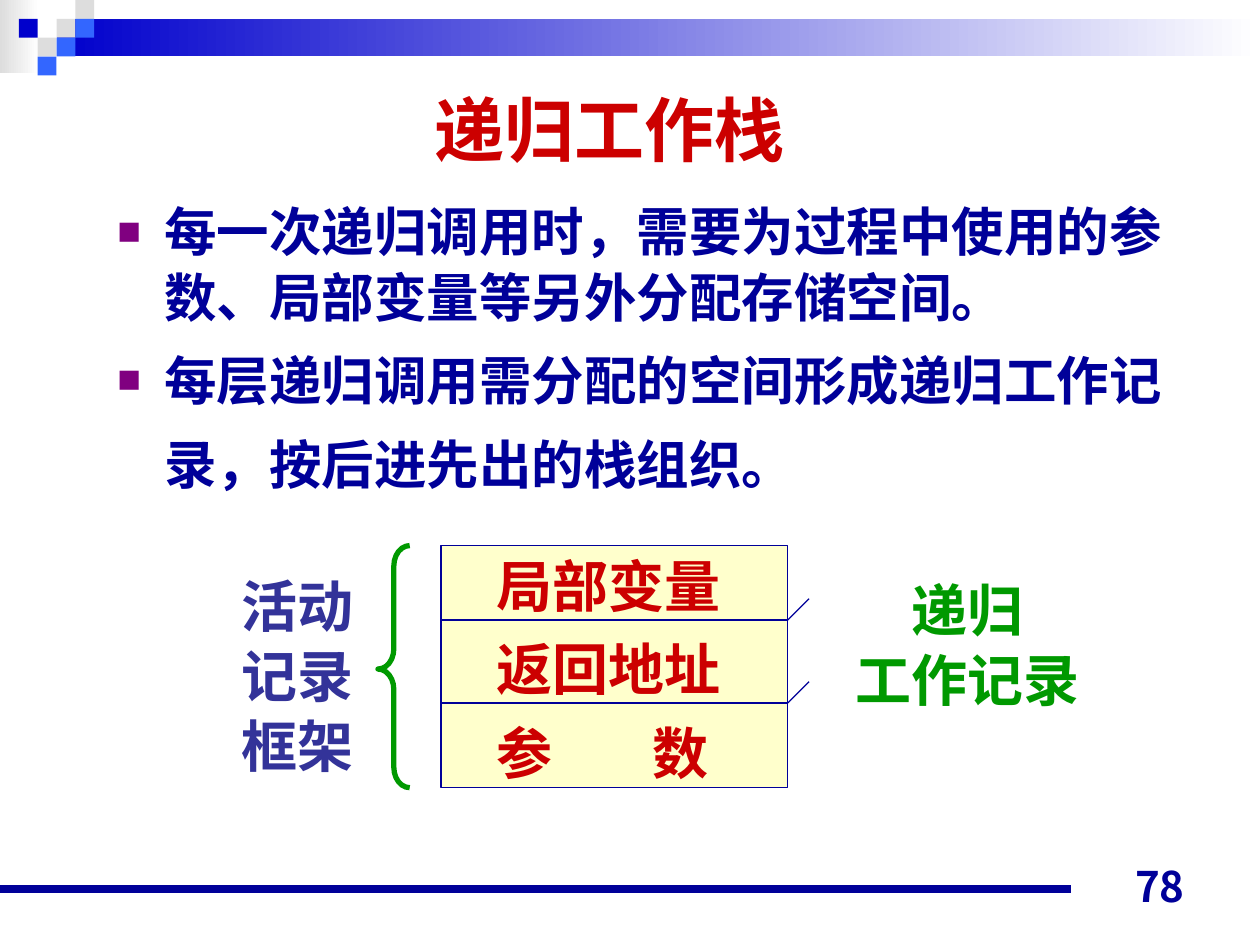
from dataclasses import dataclass

from lxml import etree
from pptx import Presentation
from pptx import util as u
from pptx.dml.color import RGBColor
from pptx.enum import shapes, text
from pptx.oxml import ns


@dataclass(frozen=True)
class Theme:
    navy: str = "000099"
    blue: str = "0000CC"
    sky: str = "3366FF"
    grey: str = "DDDDDD"
    white: str = "FFFFFF"
    red: str = "CC0000"
    green: str = "009900"
    indigo: str = "333399"
    purple: str = "800080"
    cream: str = "FFFFCC"
    sans: str = "Arial"
    serif: str = "Times New Roman"
    cjk: str = "Noto Sans CJK JP"
    title_size: int = 40
    body_size: int = 30
    label_size: int = 32
    number_size: int = 24
    leading: float = 1.04


@dataclass(frozen=True)
class Area:
    left: float
    top: float
    width: float
    height: float

    @property
    def right(self) -> float:
        return self.left + self.width

    def lengths(self) -> tuple:
        return tuple(u.Cm(v) for v in (self.left, self.top, self.width, self.height))


@dataclass(frozen=True)
class Tile:
    column: int
    row: int
    color: str


@dataclass(frozen=True)
class Label:
    area: Area
    lines: tuple
    color: str
    font: str = Theme.serif
    size: int = Theme.label_size
    align: text.PP_ALIGN = text.PP_ALIGN.LEFT
    anchor: text.MSO_ANCHOR = text.MSO_ANCHOR.TOP
    leading: float = Theme.leading
    before: float = 0
    wrap: bool = True
    tab: float = 0


THEME = Theme()
UNIT = 0.38
TILES = (
    Tile(3, 1, THEME.grey), Tile(4, 0, THEME.grey), Tile(4, 1, THEME.sky),
    Tile(2, 2, THEME.grey), Tile(1, 1, THEME.blue), Tile(3, 2, THEME.sky),
    Tile(2, 3, THEME.sky),
)
STACK = Area(8.89, 11, 6.99, 4.88)
DIVIDERS = (12.5, 14.17)
TICK = 0.43
BULLETS = (
    "每一次递归调用时，需要为过程中使用的参数、局部变量等另外分配存储空间。",
    "每层递归调用需分配的空间形成递归工作记录，按后进先出的栈组织。",
)
LABELS = (
    Label(Area(9.75, 10.8, 5.69, 6.5), ("局部变量", "返回地址", "参\t数"),
          THEME.red, leading=1.14, before=4, tab=3.16),
    Label(Area(4.62, 11.35, 3, 4.32), ("活动记录框架",), THEME.indigo),
    Label(Area(16.99, 11.43, 5.03, 2.97), ("递归", "工作记录"), THEME.green,
          align=text.PP_ALIGN.CENTER, wrap=False),
    Label(Area(18.21, 17.22, 5.92, 1.27), ("78",), THEME.navy, font=THEME.cjk,
          size=THEME.number_size, align=text.PP_ALIGN.RIGHT,
          anchor=text.MSO_ANCHOR.BOTTOM, leading=1),
)


def rgb(color: str) -> RGBColor:
    return RGBColor.from_string(color)


def add_node(parent, tag: str, **attributes):
    return etree.SubElement(parent, ns.qn(tag), attributes)


def write(para, content: str, *, color: str, size: int, font: str = THEME.sans) -> None:
    span = para.add_run()
    span.text = content
    span.font.name = font
    span.font.size = u.Pt(size)
    span.font.bold = True
    span.font.color.rgb = rgb(color)
    east_asian = THEME.cjk if font == THEME.cjk else THEME.sans
    add_node(span.font._element, "a:ea", typeface=east_asian)


def place(box, area: Area) -> None:
    box.left, box.top, box.width, box.height = area.lengths()


def draw_block(page, area: Area, *colors: str, outline: str = "") -> None:
    block = page.shapes.add_shape(shapes.MSO_SHAPE.RECTANGLE, *area.lengths())
    block.shadow.inherit = False
    if len(colors) == 1:
        block.fill.solid()
        block.fill.fore_color.rgb = rgb(colors[0])
    else:
        block.fill.gradient()
        block.fill.gradient_angle = 0
        for stop, color in zip(block.fill.gradient_stops, colors):
            stop.color.rgb = rgb(color)
    if outline:
        block.line.color.rgb = rgb(outline)
        block.line.width = u.Pt(0.75)
    else:
        block.line.fill.background()


def draw_line(page, start: tuple, end: tuple, width: float = 0.75) -> None:
    line = page.shapes.add_connector(
        shapes.MSO_CONNECTOR.STRAIGHT, *(u.Cm(v) for v in start + end))
    line.line.color.rgb = rgb(THEME.navy)
    line.line.width = u.Pt(width)
    add_node(line._element.spPr, "a:effectLst")


def draw_label(page, label: Label) -> None:
    box = page.shapes.add_textbox(*label.area.lengths())
    frame = box.text_frame
    frame.word_wrap = label.wrap
    frame.vertical_anchor = label.anchor
    for index, content in enumerate(label.lines):
        para = frame.add_paragraph() if index else frame.paragraphs[0]
        if label.tab:
            stops = add_node(para._p.get_or_add_pPr(), "a:tabLst")
            add_node(stops, "a:tab", pos=str(u.Cm(label.tab)), algn="l")
        para.alignment = label.align
        para.line_spacing = label.leading
        para.space_before = u.Pt(label.before if index else 0)
        write(para, content, color=label.color, size=label.size, font=label.font)


def draw_header(page) -> None:
    draw_block(page, Area(0, 0, 0.79, 1.47), THEME.grey, THEME.white)
    draw_block(page, Area(3 * UNIT, UNIT, 24.26, 2 * UNIT), THEME.blue, THEME.white)
    for tile in TILES:
        area = Area(tile.column * UNIT, tile.row * UNIT, UNIT, UNIT)
        draw_block(page, area, tile.color)


def fill_title(page) -> None:
    title = page.shapes.title
    place(title, Area(3.81, 1.47, 16.94, 2.24))
    title.text_frame.vertical_anchor = text.MSO_ANCHOR.MIDDLE
    para = title.text_frame.paragraphs[0]
    para.alignment = text.PP_ALIGN.CENTER
    write(para, "递归工作栈", color=THEME.red, size=THEME.title_size)


def fill_body(page) -> None:
    body = page.placeholders[1]
    place(body, Area(2.11, 3.84, 21.59, 14.4))
    frame = body.text_frame
    frame.auto_size = text.MSO_AUTO_SIZE.NONE
    for index, content in enumerate(BULLETS):
        para = frame.add_paragraph() if index else frame.paragraphs[0]
        props = para._p.get_or_add_pPr()
        indent = u.Cm(0.95)
        props.set("marL", str(indent))
        props.set("indent", str(-indent))
        add_node(add_node(props, "a:buClr"), "a:srgbClr", val=THEME.purple)
        add_node(props, "a:buSzPct", val="75000")
        add_node(props, "a:buFont", typeface=THEME.sans)
        add_node(props, "a:buChar", char="■")
        para.line_spacing = THEME.leading
        para.space_before = u.Pt(10 if index else 0)
        write(para, content, color=THEME.navy, size=THEME.body_size)
    write(para, " ", color=THEME.navy, size=THEME.title_size)


def draw_stack(page) -> None:
    draw_block(page, STACK, THEME.cream, outline=THEME.navy)
    for height in DIVIDERS:
        corner = (STACK.right, height)
        draw_line(page, (STACK.left, height), corner)
        draw_line(page, corner, (STACK.right + TICK, height - TICK))
    area = Area(7.62, STACK.top, 0.64, STACK.height)
    brace = page.shapes.add_shape(shapes.MSO_SHAPE.LEFT_BRACE, *area.lengths())
    brace.shadow.inherit = False
    brace.adjustments[0] = 0.64
    brace.adjustments[1] = 0.51
    brace.fill.background()
    brace.line.color.rgb = rgb(THEME.green)
    brace.line.width = u.Pt(3)


def main() -> None:
    deck = Presentation()
    deck.slide_width, deck.slide_height = u.Cm(25.4), u.Cm(19.05)
    page = deck.slides.add_slide(deck.slide_layouts[1])
    draw_header(page)
    draw_line(page, (0, 17.93), (21.59, 17.93), 4.5)
    fill_title(page)
    fill_body(page)
    draw_stack(page)
    for label in LABELS:
        draw_label(page, label)
    deck.save("out.pptx")


if __name__ == "__main__":
    main()
